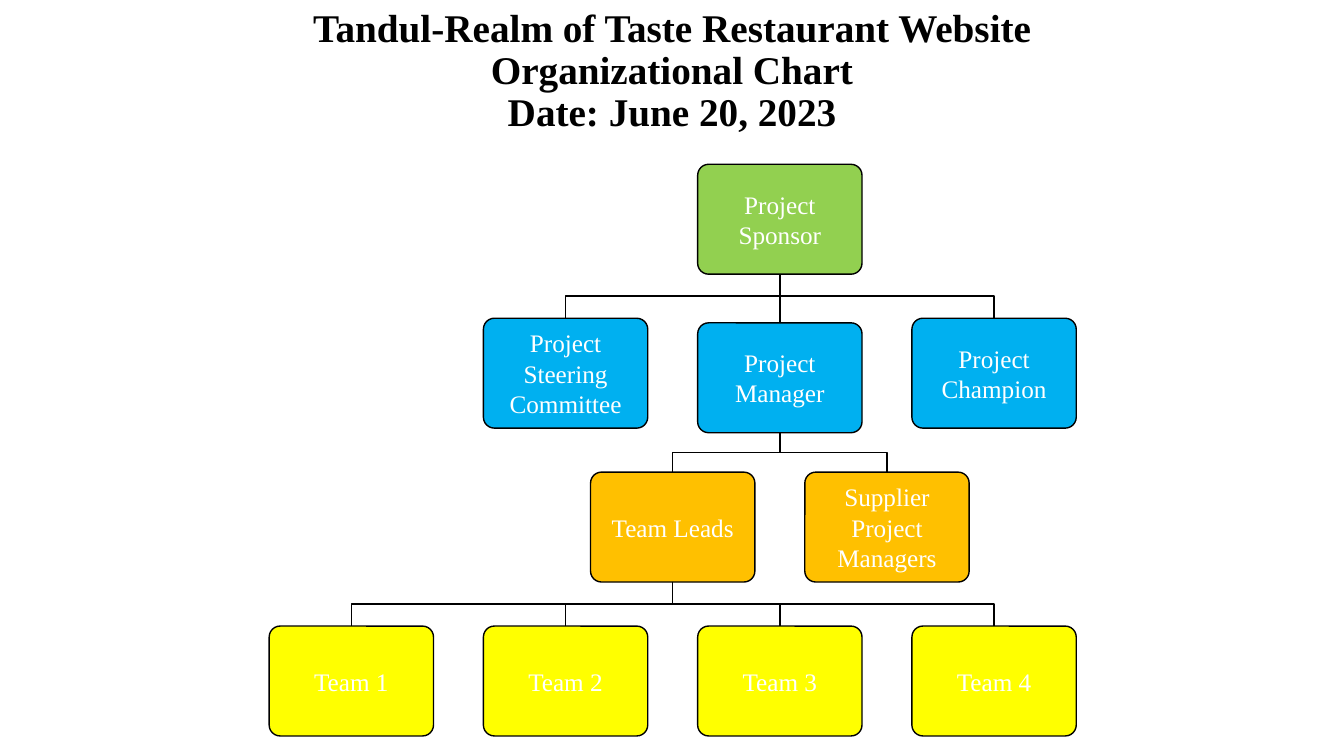
"""Build an organizational chart slide."""
from dataclasses import dataclass

import pptx
import pptx.dml.color
import pptx.enum.shapes
import pptx.enum.text
import pptx.oxml
import pptx.oxml.ns
import pptx.slide
import pptx.text.text
import pptx.util

RGBColor = pptx.dml.color.RGBColor
BLACK = RGBColor(0x00, 0x00, 0x00)
WHITE = RGBColor(0xFF, 0xFF, 0xFF)
GREEN = RGBColor(0x92, 0xD0, 0x50)
BLUE = RGBColor(0x00, 0xB0, 0xF0)
ORANGE = RGBColor(0xFF, 0xC0, 0x00)
YELLOW = RGBColor(0xFF, 0xFF, 0x00)

FONT = "Times New Roman"
SLIDE_WIDTH = pptx.util.Inches(13.33)
SLIDE_HEIGHT = pptx.util.Inches(7.5)

# Grid of role boxes: first box corner, pitch between boxes, box size.
GRID_LEFT = pptx.util.Inches(2.67)
GRID_TOP = pptx.util.Inches(1.63)
COLUMN_PITCH = pptx.util.Inches(2.125)
ROW_PITCH = pptx.util.Inches(1.527)
ROLE_WIDTH = pptx.util.Inches(1.63)
ROLE_HEIGHT = pptx.util.Inches(1.09)
ROLE_INSET = pptx.util.Inches(0.07)
LINE_WIDTH = pptx.util.Pt(1)


@dataclass(frozen=True)
class Role:
    """A box of the chart, placed by grid column and row."""

    title: str
    column: float
    row: float
    fill: RGBColor
    reports_to: "Role | None" = None

    @property
    def left(self) -> int:
        """Left edge of the box."""
        return round(GRID_LEFT + self.column * COLUMN_PITCH)

    @property
    def top(self) -> int:
        """Top edge of the box."""
        return round(GRID_TOP + self.row * ROW_PITCH)

    @property
    def center(self) -> int:
        """Horizontal middle of the box."""
        return self.left + ROLE_WIDTH // 2

    @property
    def bottom(self) -> int:
        """Bottom edge of the box."""
        return self.top + ROLE_HEIGHT


SPONSOR = Role("Project Sponsor", 2, 0, GREEN)
MANAGER = Role("Project Manager", 2, 1.03, BLUE, SPONSOR)
TEAM_LEADS = Role("Team Leads", 1.5, 2, ORANGE, MANAGER)
ROLES = [
    SPONSOR,
    Role("Project Steering Committee", 1, 1, BLUE, SPONSOR),
    MANAGER,
    TEAM_LEADS,
    *(Role(f"Team {n + 1}", n, 3, YELLOW, TEAM_LEADS) for n in range(4)),
    Role("Supplier Project Managers", 2.5, 2, ORANGE, MANAGER),
    Role("Project Champion", 3, 1, BLUE, SPONSOR),
]


def write_text(frame: pptx.text.text.TextFrame, text: str, size: int,
               color: RGBColor, bold: bool = False) -> None:
    """Put centred, wrapped text into a frame."""
    frame.word_wrap = True
    frame.vertical_anchor = pptx.enum.text.MSO_ANCHOR.MIDDLE
    paragraph = frame.paragraphs[0]
    paragraph.text = text
    paragraph.alignment = pptx.enum.text.PP_ALIGN.CENTER
    for run in paragraph.runs:
        run.font.name = FONT
        run.font.size = pptx.util.Pt(size)
        run.font.bold = bold
        run.font.color.rgb = color


def draw_heading(slide: pptx.slide.Slide) -> None:
    """Draw the three-line heading over the middle three quarters."""
    heading = slide.shapes.add_textbox(
        SLIDE_WIDTH // 8, 0, SLIDE_WIDTH * 3 // 4, round(SLIDE_HEIGHT * 0.19))
    write_text(
        heading.text_frame,
        "Tandul-Realm of Taste Restaurant Website\v"
        "Organizational Chart\vDate: June 20, 2023",
        28, BLACK, bold=True)
    heading.text_frame.paragraphs[0].line_spacing = 0.9


def draw_link(slide: pptx.slide.Slide, parent: Role, child: Role) -> None:
    """Link two roles, bending halfway when they are not aligned."""
    if parent.center == child.center:
        link = slide.shapes.add_connector(
            pptx.enum.shapes.MSO_CONNECTOR.STRAIGHT,
            parent.center, parent.bottom, child.center, child.top)
        properties = link._element.find(pptx.oxml.ns.qn("p:spPr"))
        link.line.color.rgb = BLACK
        link.line.width = LINE_WIDTH
        properties.append(pptx.oxml.parse_xml(
            f"<a:effectLst {pptx.oxml.ns.nsdecls('a')}/>"))
        return
    bend = (parent.bottom + child.top) // 2
    outline = slide.shapes.build_freeform(parent.center, parent.bottom)
    outline.add_line_segments(
        [(parent.center, bend), (child.center, bend), (child.center, child.top)],
        close=False)
    link = outline.convert_to_shape()
    link.shadow.inherit = False
    link.fill.background()
    link.line.color.rgb = BLACK
    link.line.width = LINE_WIDTH


def draw_role(slide: pptx.slide.Slide, role: Role) -> None:
    """Draw one role as a rounded box with its title."""
    box = slide.shapes.add_shape(
        pptx.enum.shapes.MSO_SHAPE.ROUNDED_RECTANGLE,
        role.left, role.top, ROLE_WIDTH, ROLE_HEIGHT)
    box.adjustments[0] = 0.1
    box.shadow.inherit = False
    box.fill.solid()
    box.fill.fore_color.rgb = role.fill
    box.line.color.rgb = BLACK
    box.line.width = LINE_WIDTH
    frame = box.text_frame
    frame.margin_left = frame.margin_right = ROLE_INSET
    frame.margin_top = frame.margin_bottom = ROLE_INSET
    write_text(frame, role.title, 18, WHITE)


def main() -> None:
    """Build and save the slide."""
    deck = pptx.Presentation()
    deck.slide_width = SLIDE_WIDTH
    deck.slide_height = SLIDE_HEIGHT
    slide = deck.slides.add_slide(deck.slide_layouts[6])
    draw_heading(slide)
    for role in ROLES:
        if role.reports_to:
            draw_link(slide, role.reports_to, role)
        draw_role(slide, role)
    deck.save("out.pptx")


main()
